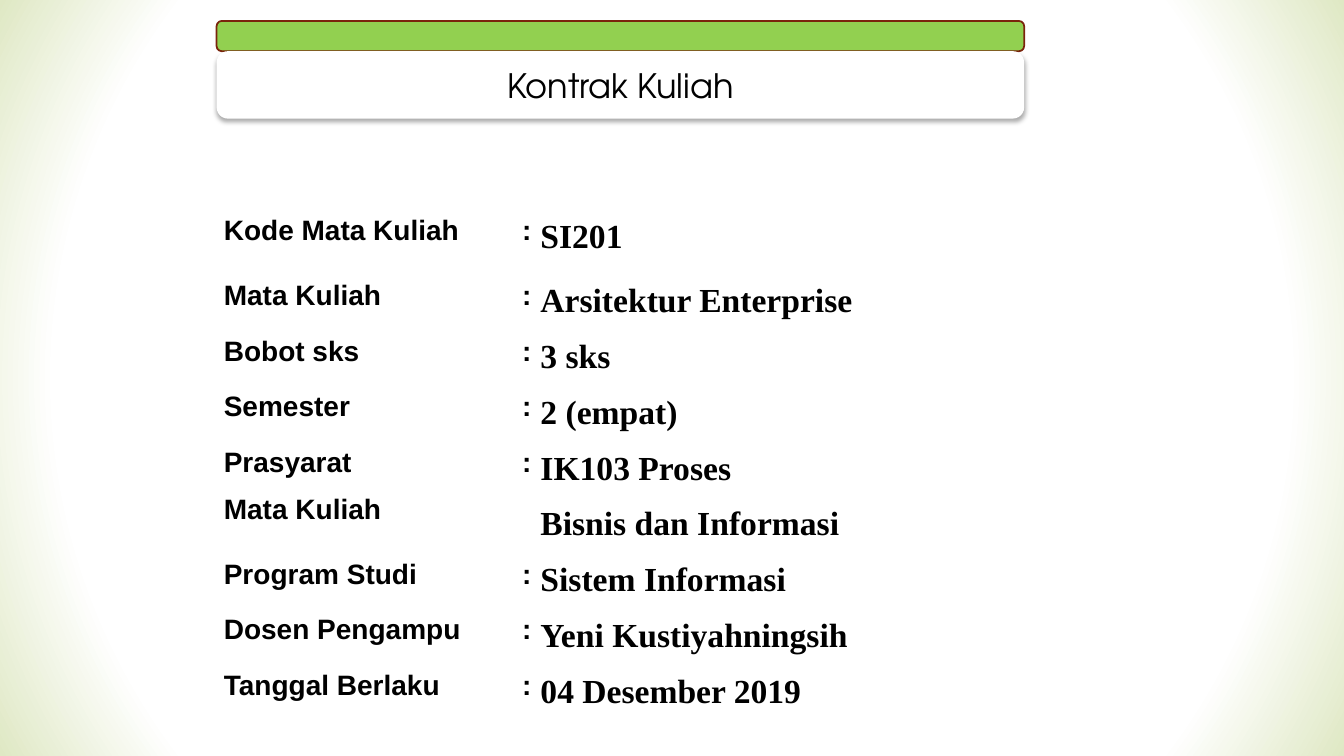
from lxml.etree import SubElement
from pptx import Presentation
from pptx.dml.color import RGBColor
from pptx.enum.shapes import MSO_SHAPE
from pptx.enum.text import MSO_ANCHOR, PP_ALIGN
from pptx.oxml.ns import qn
from pptx.util import Cm, Pt

ROW_HEIGHT = 1.4
NO_STYLE_NO_GRID = "{2D5ABB26-0587-4C30-8999-92F81FD0307C}"
COURSE_DETAILS = [
    ("Kode Mata Kuliah", "SI201"),
    ("Mata Kuliah", "Arsitektur Enterprise"),
    ("Bobot sks", "3 sks"),
    ("Semester", "2 (empat)"),
    ("Prasyarat\nMata Kuliah", "IK103 Proses\nBisnis dan Informasi"),
    ("Program Studi", "Sistem Informasi"),
    ("Dosen Pengampu", "Yeni Kustiyahningsih"),
    ("Tanggal Berlaku", "04 Desember 2019"),
]


def color(hex_string):
    """Turn a hex string into a colour."""
    return RGBColor.from_string(hex_string)


def format_text(text_frame, font_name, size, alignment, bold=False, spacing=None):
    """Format every paragraph and run of a text frame."""
    for paragraph in text_frame.paragraphs:
        paragraph.alignment = alignment
        paragraph.line_spacing = spacing
        for run in paragraph.runs:
            run.font.name = font_name
            run.font.size = Pt(size)
            run.font.bold = bold
            run.font.color.rgb = color("000000")


def paint_background(slide):
    """Fill the slide with a radial gradient, white out to the green edges."""
    fill = slide.background.fill
    fill.gradient()
    stops = ((0.8, "FFFFFF"), (1, "DFE8C4"))
    for stop, (position, hex_string) in zip(fill.gradient_stops, stops):
        stop.position = position
        stop.color.rgb = color(hex_string)
    gradient = next(slide.element.iter(qn("a:gradFill")))
    gradient.remove(gradient.find(qn("a:lin")))
    circle = SubElement(gradient, qn("a:path"), {"path": "circle"})
    SubElement(circle, qn("a:fillToRect"), dict.fromkeys("ltrb", "50000"))


def add_rounded_bar(slide, left, top, width, height, fill):
    """Add a plain rounded rectangle without outline or shadow."""
    bar = slide.shapes.add_shape(
        MSO_SHAPE.ROUNDED_RECTANGLE, Cm(left), Cm(top), Cm(width), Cm(height))
    bar.shadow.inherit = False
    bar.fill.solid()
    bar.fill.fore_color.rgb = color(fill)
    bar.line.fill.background()
    return bar


def add_soft_shadow(shape):
    """Cast a soft shadow straight down from a shape."""
    effects = shape.element.spPr.find(qn("a:effectLst"))
    shadow = SubElement(effects, qn("a:outerShdw"), {
        "blurRad": str(Pt(3.5)), "dist": str(Pt(2.2)),
        "dir": "5400000", "rotWithShape": "0"})
    black = SubElement(shadow, qn("a:srgbClr"), {"val": "000000"})
    SubElement(black, qn("a:alpha"), {"val": "32000"})


def add_title(slide, left, top, width, height):
    """Add the green strip and the white title panel under it."""
    strip_height = 0.76
    strip = add_rounded_bar(slide, left, top, width, strip_height, "92D050")
    strip.line.color.rgb = color("7A240C")
    strip.line.width = Pt(1.25)

    panel = add_rounded_bar(slide, left, top + strip_height, width,
                            height - strip_height, "FFFFFF")
    add_soft_shadow(panel)
    panel.text_frame.text = "Kontrak Kuliah"
    panel.text_frame.vertical_anchor = MSO_ANCHOR.MIDDLE
    format_text(panel.text_frame, "TeX Gyre Adventor", 24, PP_ALIGN.CENTER)


def fill_cell(cell, text, font_name, size):
    """Write one bold cell with narrow side margins and no fill."""
    cell.fill.background()
    cell.margin_left = cell.margin_right = Cm(0.18)
    cell.margin_top = cell.margin_bottom = 0
    cell.text_frame.text = text
    format_text(cell.text_frame, font_name, size, PP_ALIGN.JUSTIFY, True, 1.5)


def add_course_table(slide, left, top, width, height):
    """Add the table of course details: label, colon, value."""
    frame = slide.shapes.add_table(
        len(COURSE_DETAILS), 3, Cm(left), Cm(top), Cm(width), Cm(height))
    table = frame.table
    table.first_row = table.horz_banding = False
    next(table._tbl.iter(qn("a:tableStyleId"))).text = NO_STYLE_NO_GRID

    label_width, colon_width = 7.52, 0.41
    widths = (label_width, colon_width, width - label_width - colon_width)
    for column, column_width in zip(table.columns, widths):
        column.width = Cm(column_width)

    for row, (label, value) in zip(table.rows, COURSE_DETAILS):
        row.height = Cm(ROW_HEIGHT * len(value.splitlines()))
        label_cell, colon_cell, value_cell = row.cells
        fill_cell(label_cell, label, "Arial", 20)
        fill_cell(colon_cell, ":", "Arial", 20)
        fill_cell(value_cell, value, "Times New Roman", 24)
    table.rows[0].height = Cm(1.63)


def build_contract_slide(presentation):
    """Build the course contract slide."""
    slide = presentation.slides.add_slide(presentation.slide_layouts[6])
    paint_background(slide)
    add_title(slide, 5.46, 0.53, 20.35, 2.46)
    add_course_table(slide, 5.46, 5.03, 20.88, 13.61)


presentation = Presentation()
presentation.slide_width = Cm(33.87)
presentation.slide_height = Cm(19.05)
build_contract_slide(presentation)
presentation.save("out.pptx")
